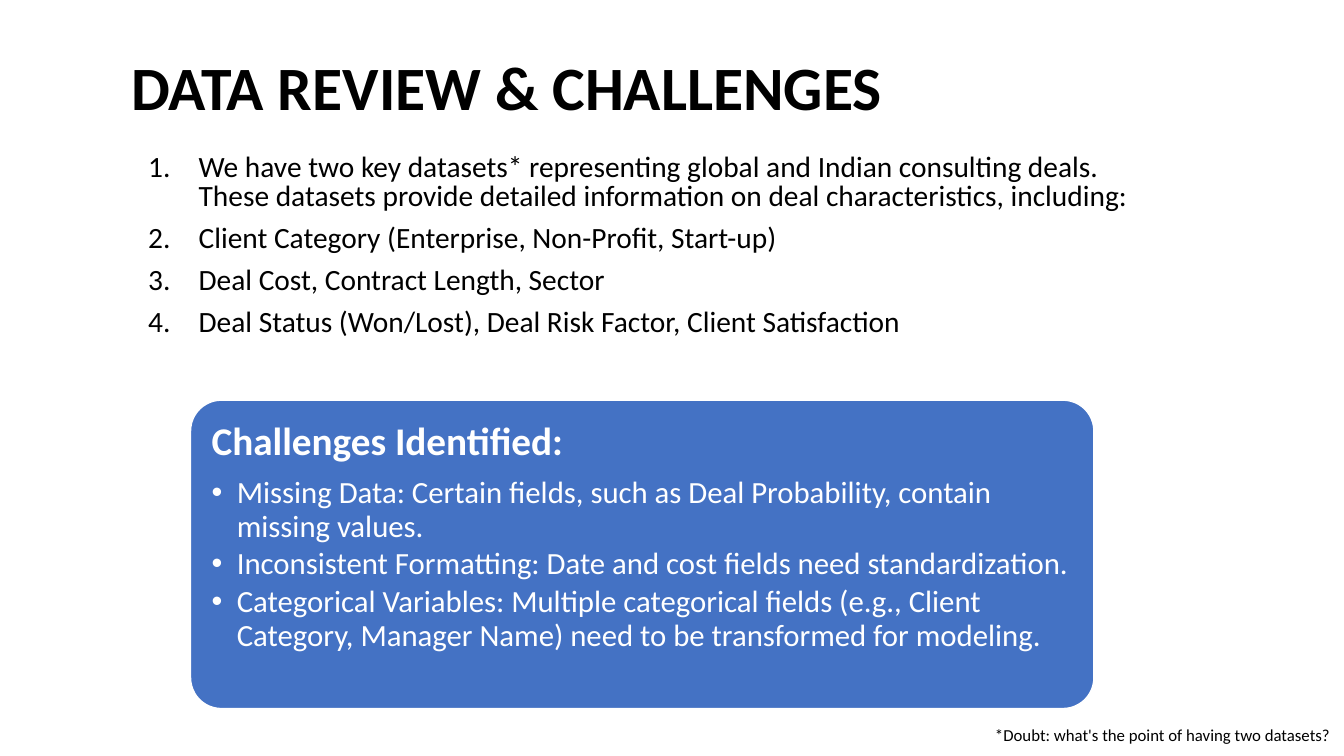
from dataclasses import dataclass

from lxml.etree import SubElement
from pptx import Presentation
from pptx.dml.color import RGBColor
from pptx.enum.shapes import MSO_SHAPE
from pptx.enum.text import MSO_ANCHOR, MSO_AUTO_SIZE, PP_ALIGN
from pptx.oxml.ns import qn
from pptx.util import Inches, Pt


@dataclass(frozen=True)
class Theme:
    font: str = "Calibri"
    ink: RGBColor = RGBColor(0x00, 0x00, 0x00)
    paper: RGBColor = RGBColor(0xFF, 0xFF, 0xFF)
    panel: RGBColor = RGBColor(0x44, 0x72, 0xC4)
    title_size: int = 44
    list_size: int = 21
    panel_heading_size: int = 28
    panel_item_size: int = 22
    note_size: int = 12


def place(shape, left, top, width, height):
    shape.left, shape.top = Inches(left), Inches(top)
    shape.width, shape.height = Inches(width), Inches(height)


def add_marker(paragraph, indent, tag, **attributes):
    """Give the paragraph a hanging indent and a bullet or a number."""
    properties = paragraph._p.get_or_add_pPr()
    properties.set("marL", str(Inches(indent)))
    properties.set("indent", str(-Inches(indent)))
    if tag == "a:buChar":
        SubElement(properties, qn("a:buFont"), typeface="Arial")
    else:
        SubElement(properties, qn("a:buFont"), typeface="+mj-lt")
    SubElement(properties, qn(tag), **attributes)


class ReviewSlide:
    def __init__(self, presentation, theme):
        self.theme = theme
        self.slide = presentation.slides.add_slide(presentation.slide_layouts[1])

    def style(self, paragraph, size, color, bold=False, align=PP_ALIGN.LEFT,
              line=1.0, before=0, after=0):
        paragraph.alignment = align
        paragraph.line_spacing = line
        paragraph.space_before, paragraph.space_after = Pt(before), Pt(after)
        for run in paragraph.runs:
            run.font.name = self.theme.font
            run.font.size = Pt(size)
            run.font.bold = bold
            run.font.color.rgb = color

    def title(self, wording, box):
        heading = self.slide.shapes.title
        place(heading, *box)
        frame = heading.text_frame
        frame.text = wording
        frame.auto_size = MSO_AUTO_SIZE.NONE
        frame.vertical_anchor = MSO_ANCHOR.MIDDLE
        self.style(frame.paragraphs[0], self.theme.title_size, self.theme.ink,
                   bold=True, line=0.9)

    def numbered_list(self, items, box):
        body = self.slide.placeholders[1]
        place(body, *box)
        frame = body.text_frame
        frame.text = "\n".join(items)
        frame.auto_size = MSO_AUTO_SIZE.NONE
        for paragraph in frame.paragraphs:
            self.style(paragraph, self.theme.list_size, self.theme.ink,
                       line=0.8, before=10)
            add_marker(paragraph, 0.5, "a:buAutoNum", type="arabicPeriod")

    def panel(self, heading, items, box):
        theme = self.theme
        panel = self.slide.shapes.add_shape(
            MSO_SHAPE.ROUNDED_RECTANGLE, *map(Inches, box))
        panel.adjustments[0] = 0.1
        panel.shadow.inherit = False
        panel.fill.solid()
        panel.fill.fore_color.rgb = theme.panel
        panel.line.color.rgb = theme.paper
        panel.line.width = Pt(1)

        frame = panel.text_frame
        frame.word_wrap = True
        frame.vertical_anchor = MSO_ANCHOR.TOP
        frame.margin_left = frame.margin_right = Inches(0.12)
        frame.margin_top = frame.margin_bottom = Inches(0.12)
        frame.text = "\n".join([heading, *items])
        heading_line, *item_lines = frame.paragraphs
        self.style(heading_line, theme.panel_heading_size, theme.paper, bold=True,
                   line=0.9, after=0.35 * theme.panel_heading_size)
        for paragraph in item_lines:
            paragraph.level = 1
            self.style(paragraph, theme.panel_item_size, theme.paper,
                       line=0.9, after=0.15 * theme.panel_item_size)
            add_marker(paragraph, 0.25, "a:buChar", char="•")

    def footnote(self, wording, box):
        frame = self.slide.shapes.add_textbox(*map(Inches, box)).text_frame
        frame.word_wrap = True
        frame.text = wording
        self.style(frame.paragraphs[0], self.theme.note_size, self.theme.ink,
                   align=PP_ALIGN.RIGHT)


def main():
    presentation = Presentation()
    presentation.slide_width = Inches(13.33)
    presentation.slide_height = Inches(7.5)

    review = ReviewSlide(presentation, Theme())
    review.title("DATA REVIEW & CHALLENGES", (1.2, 0.31, 10.17, 1.18))
    review.numbered_list([
        "We have two key datasets* representing global and Indian consulting deals. "
        "These datasets provide detailed information on deal characteristics, including:",
        "Client Category (Enterprise, Non-Profit, Start-up)",
        "Deal Cost, Contract Length, Sector",
        "Deal Status (Won/Lost), Deal Risk Factor, Client Satisfaction",
    ], (1.37, 1.49, 10, 2.01))
    review.footnote("*Doubt: what's the point of having two datasets? ",
                    (7.93, 7.14, 5.4, 0.3))
    review.panel("Challenges Identified:", [
        "Missing Data: Certain fields, such as Deal Probability, contain missing values.",
        "Inconsistent Formatting: Date and cost fields need standardization.",
        "Categorical Variables: Multiple categorical fields (e.g., Client Category, "
        "Manager Name) need to be transformed for modeling.",
    ], (1.89, 3.97, 8.96, 3.06))

    presentation.save("out.pptx")


if __name__ == "__main__":
    main()
